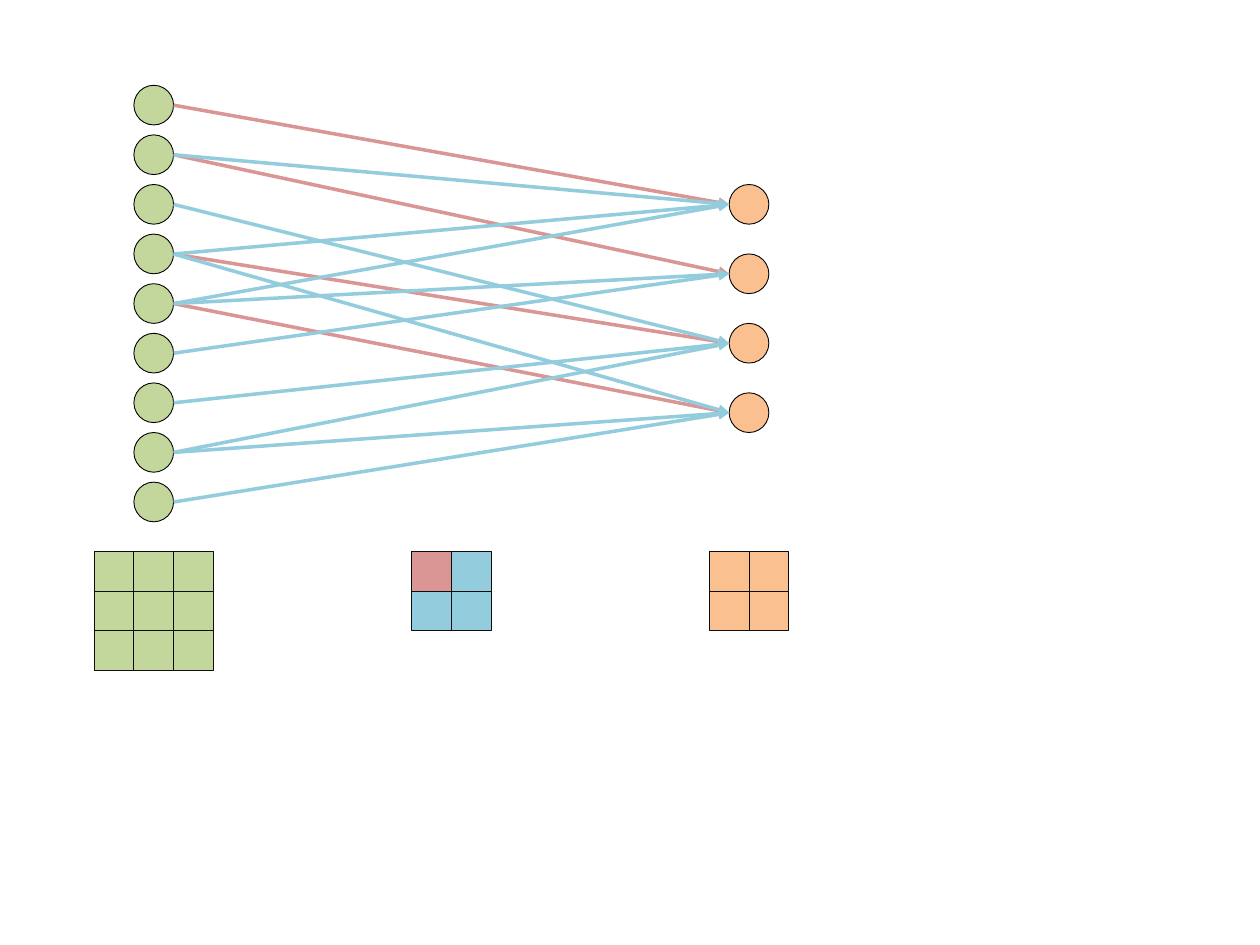
from dataclasses import dataclass

from lxml import etree
from pptx import Presentation
from pptx.dml.color import RGBColor
from pptx.enum.shapes import MSO_CONNECTOR, MSO_SHAPE
from pptx.oxml.ns import qn
from pptx.shapes.autoshape import Shape
from pptx.util import Inches, Length, Mm, Pt

OVAL, SQUARE = MSO_SHAPE.OVAL, MSO_SHAPE.RECTANGLE
STRAIGHT = MSO_CONNECTOR.STRAIGHT
BLANK_LAYOUT = 6

# The slide is laid out on a grid of 1 mm columns and rows.
CELL = 8
FIRST_ROW = 0.2


@dataclass(frozen=True)
class Theme:
    input: str = "C3D69B"
    output: str = "FAC090"
    first_weight: str = "D99694"
    other_weight: str = "93CDDD"
    node_outline: str = "000000"
    cell_outline: str = "0D0D0D"
    outline_width: Length = Pt(0.5)
    edge_width: Length = Pt(2)


@dataclass(frozen=True)
class Layer:
    column: int
    row: int
    step: int
    count: int
    color: str


@dataclass(frozen=True)
class Matrix:
    column: int
    row: int
    colors: list[list[str]]
    grouped: bool = False


@dataclass(frozen=True)
class Edges:
    color: str
    pairs: list[tuple[int, int]]


THEME = Theme()
INPUT_LAYER = Layer(27, 17, 10, 9, THEME.input)
OUTPUT_LAYER = Layer(147, 37, 14, 4, THEME.output)
INPUT_MATRIX = Matrix(19, 111, [[THEME.input] * 3] * 3)
KERNEL = Matrix(83, 111, [[THEME.first_weight, THEME.other_weight],
                          [THEME.other_weight] * 2], grouped=True)
OUTPUT_MATRIX = Matrix(143, 111, [[THEME.output] * 2] * 2)

# Each pair is (input node, output node), counted from the top.
EDGES = [
    Edges(THEME.first_weight, [(0, 0), (1, 1), (3, 2), (4, 3)]),
    Edges(THEME.other_weight, [(1, 0), (2, 2), (3, 0), (3, 3), (4, 1), (4, 0),
                               (5, 1), (6, 2), (7, 2), (7, 3), (8, 3)]),
]


def add_unit(shapes, kind, column: int, row: int, fill: str, outline: str) -> Shape:
    """Draw one grid-cell-sized node or matrix entry."""
    unit = shapes.add_shape(kind, Mm(column), Mm(row + FIRST_ROW), Mm(CELL), Mm(CELL))
    unit.shadow.inherit = False
    unit.fill.solid()
    unit.fill.fore_color.rgb = RGBColor.from_string(fill)
    unit.line.color.rgb = RGBColor.from_string(outline)
    unit.line.width = THEME.outline_width
    return unit


def add_layer(shapes, layer: Layer) -> list[Shape]:
    return [add_unit(shapes, OVAL, layer.column, layer.row + i * layer.step,
                     layer.color, THEME.node_outline)
            for i in range(layer.count)]


def add_matrix(shapes, matrix: Matrix) -> None:
    target = shapes.add_group_shape().shapes if matrix.grouped else shapes
    for r, row_colors in enumerate(matrix.colors):
        for c, color in enumerate(row_colors):
            add_unit(target, SQUARE, matrix.column + c * CELL, matrix.row + r * CELL,
                     color, THEME.cell_outline)


def add_edge(shapes, source: Shape, target: Shape, color: str) -> None:
    """Draw an arrow from the right of source to the left of target."""
    edge = shapes.add_connector(
        STRAIGHT,
        source.left + source.width, source.top + source.height // 2,
        target.left, target.top + target.height // 2)
    edge.line.color.rgb = RGBColor.from_string(color)
    edge.line.width = THEME.edge_width
    etree.SubElement(edge.line._get_or_add_ln(), qn("a:tailEnd"), type="triangle")
    etree.SubElement(edge._element.spPr, qn("a:effectLst"))


def main() -> None:
    deck = Presentation()
    deck.slide_width, deck.slide_height = Inches(10), Inches(7.5)
    shapes = deck.slides.add_slide(deck.slide_layouts[BLANK_LAYOUT]).shapes

    inputs = add_layer(shapes, INPUT_LAYER)
    add_matrix(shapes, INPUT_MATRIX)
    outputs = add_layer(shapes, OUTPUT_LAYER)
    add_matrix(shapes, KERNEL)
    add_matrix(shapes, OUTPUT_MATRIX)
    for edges in EDGES:
        for source, target in edges.pairs:
            add_edge(shapes, inputs[source], outputs[target], edges.color)

    deck.save("out.pptx")


if __name__ == "__main__":
    main()
